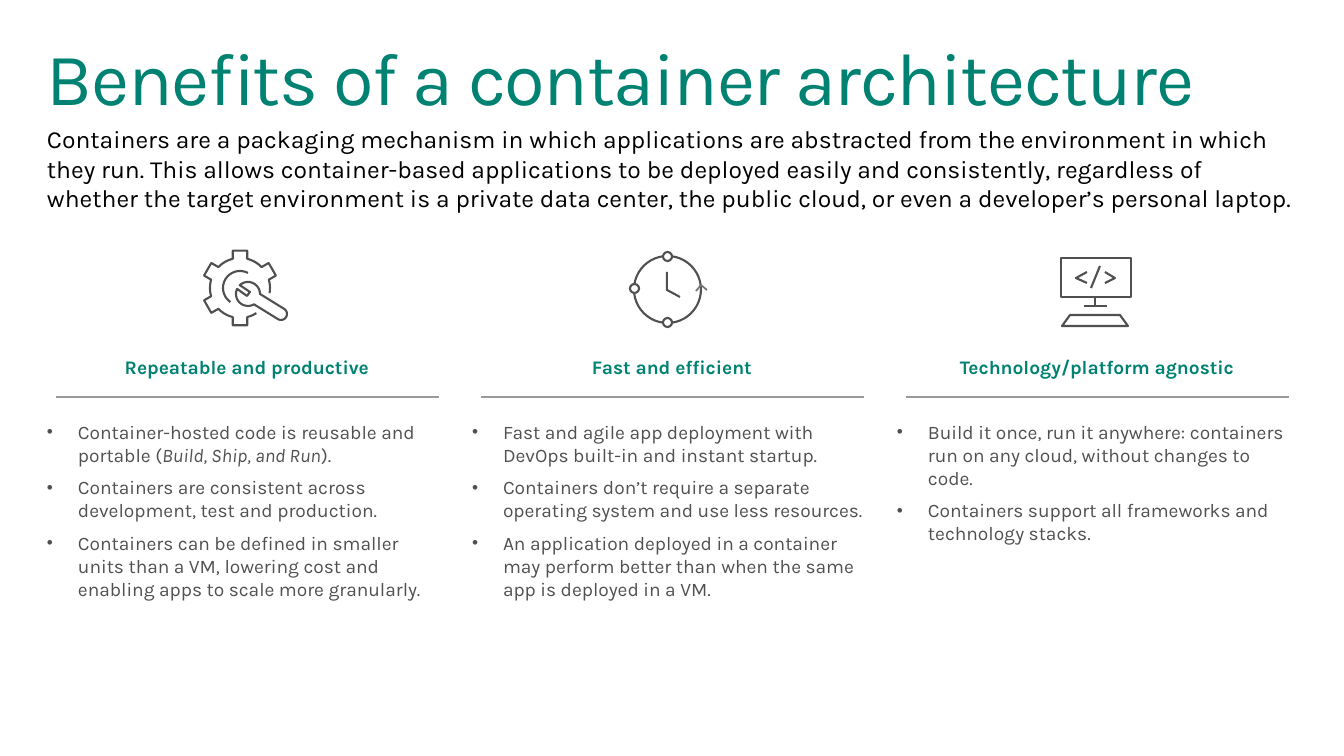
from math import cos, radians, sin

from lxml.etree import SubElement
from pptx import Presentation
from pptx.dml.color import RGBColor
from pptx.enum.shapes import MSO_CONNECTOR, MSO_SHAPE
from pptx.enum.text import MSO_ANCHOR, MSO_AUTO_SIZE, PP_ALIGN
from pptx.oxml.ns import qn
from pptx.util import Pt

SCALE = 12192000 / 1344  # EMU in one px
FONT = "Karla"
COLORS = {"teal": "008272", "black": "000000", "gray": "505050",
          "arrow": "757575", "rule": "999999", "white": "FFFFFF"}

TITLE = "Benefits of a container architecture"
INTRO = ("Containers are a packaging mechanism in which applications are abstracted "
         "from the environment in which they run. This allows container-based "
         "applications to be deployed easily and consistently, regardless of whether "
         "the target environment is a private data center, the public cloud, or even "
         "a developer’s personal laptop.")


def px(length):
    return round(length * SCALE)


def color(name):
    return RGBColor.from_string(COLORS[name])


# Text
def place(holder, left, top, width, height, inset_top=0):
    holder.left, holder.top, holder.width, holder.height = map(
        px, (left, top, width, height))
    frame = holder.text_frame
    frame.word_wrap = True
    frame.auto_size = MSO_AUTO_SIZE.NONE
    frame.vertical_anchor = MSO_ANCHOR.TOP
    frame.margin_left = frame.margin_right = frame.margin_bottom = 0
    frame.margin_top = px(inset_top)
    return frame


def format_paragraph(para, size, ink, after=0, bold=False, align=PP_ALIGN.LEFT,
                     bullet=False):
    properties = para._p.get_or_add_pPr()
    indent = px(31) if bullet else 0
    properties.set("marL", str(indent))
    properties.set("indent", str(-indent))
    if bullet:
        SubElement(properties, qn("a:buSzPct"), val="90000")
        SubElement(properties, qn("a:buFont"), typeface="Arial")
        SubElement(properties, qn("a:buChar"), char="•")
    else:
        SubElement(properties, qn("a:buNone"))
    para.alignment = align
    para.space_before, para.space_after = Pt(0), Pt(after)
    font = para.font
    font.name, font.size, font.bold = FONT, Pt(size), bold
    font.color.rgb = color(ink)


def add_header(title, intro):
    frame = place(title, 47, 24, 1250, 82, inset_top=18)
    para = frame.paragraphs[0]
    span = para.add_run()
    span.text = TITLE
    span._r.get_or_add_rPr().set("spc", "-100")
    format_paragraph(para, 52.9, "teal")
    para.line_spacing = 0.9

    para = place(intro, 47, 124, 1250, 90).paragraphs[0]
    para.text = INTRO
    format_paragraph(para, 17.6, "black", after=8.8)


# Drawing helpers
def style_line(shape, width=1.5, ink="gray"):
    shape.line.color.rgb = color(ink)
    shape.line.width = Pt(width)


def add_line(shapes, start, end, width=1.5, ink="gray"):
    line = shapes.add_connector(MSO_CONNECTOR.STRAIGHT, *map(px, (*start, *end)))
    style_line(line, width, ink)
    SubElement(line._element.spPr, qn("a:effectLst"))


def add_outline(shapes, left, top, *contours, closed=False, width=1.5, ink="gray"):
    builder = None
    for contour in contours:
        points = [(px(left + x), px(top + y)) for x, y in contour]
        if builder is None:
            builder = shapes.build_freeform(*points[0])
        else:
            builder.move_to(*points[0])
        builder.add_line_segments(points[1:], close=closed)
    outline = builder.convert_to_shape()
    outline.shadow.inherit = False
    outline.fill.background()
    style_line(outline, width, ink)


def add_preset(shapes, kind, left, top, width, height, fill=None):
    shape = shapes.add_shape(kind, *map(px, (left, top, width, height)))
    shape.shadow.inherit = False
    if fill:
        shape.fill.solid()
        shape.fill.fore_color.rgb = color(fill)
    else:
        shape.fill.background()
    style_line(shape)


def polar(center, radius, angle):
    return (center[0] + radius * cos(radians(angle)),
            center[1] + radius * sin(radians(angle)))


def arc(center, radius, start, end, steps=16):
    return [polar(center, radius, start + (end - start) * step / steps)
            for step in range(steps + 1)]


# Icons
def draw_gear(shapes, left, top):
    hub = (35, 38)
    rim = arc(hub, 30, 57, 76)
    for tooth in range(90, 331, 60):
        rim += [polar(hub, 38, tooth - 11), polar(hub, 38, tooth + 11)]
        rim += arc(hub, 30, tooth + 14, min(tooth + 46, 370))
    inner = arc(hub, 17, -62, -236)
    head, grip = (43, 44), (76, 64)
    wrench = (arc(head, 12, 205, 60) + arc(grip, 6, 121, -63)
              + arc(head, 12, 0, -133) + [(45, 42), (42, 46)])
    wrench.append(wrench[0])
    add_outline(shapes, left, top, rim, inner, wrench)


def draw_clock(shapes, left, top):
    add_outline(shapes, left, top, [(37, 22), (37, 40), (50, 47)])
    add_preset(shapes, MSO_SHAPE.OVAL, left + 4, top + 6, 67, 67)
    add_outline(shapes, left, top, [(66, 41), (71, 35), (77, 40)],
                width=1.25, ink="arrow")
    for x, y in [(33, 2), (0, 34), (33, 68)]:
        add_preset(shapes, MSO_SHAPE.OVAL, left + x, top + y, 9, 9, "white")


def draw_computer(shapes, left, top):
    add_outline(shapes, left, top, [(27, 22), (16, 28), (27, 33)])
    add_outline(shapes, left, top, [(45, 22), (55, 28), (45, 33)])
    add_preset(shapes, MSO_SHAPE.RECTANGLE, left + 1, top + 8, 70, 39)
    add_outline(shapes, left, top, [(10, 65), (60, 65), (68, 76), (2, 76)], closed=True)
    for x1, y1, x2, y2 in [(40, 16, 31, 38), (35, 47, 35, 56), (24, 56, 47, 56)]:
        add_line(shapes, (left + x1, top + y1), (left + x2, top + y2))


# Each bullet is a list of spans; every second span is italic
COLUMNS = [
    ("Repeatable and productive", draw_gear, 158, [
        ["Container-hosted code is reusable and portable (", "Build, Ship, and Run", ")."],
        ["Containers are consistent across development, test and production."],
        ["Containers can be defined in smaller units than a VM, lowering cost and "
         "enabling apps to scale more granularly."]]),
    ("Fast and efficient", draw_clock, 158, [
        ["Fast and agile app deployment with DevOps built-in and instant startup."],
        ["Containers don’t require a separate operating system and use less resources."],
        ["An application deployed in a container may perform better than when the same "
         "app is deployed in a VM."]]),
    ("Technology/platform agnostic", draw_computer, 163, [
        ["Build it once, run it anywhere: containers run on any cloud, without changes "
         "to code."],
        ["Containers support all frameworks and technology stacks."]]),
]


def add_column(page, holder, left, top, heading, draw_icon, icon_offset, bullets):
    frame = place(holder, left, top + 105, 400, 287)
    para = frame.paragraphs[0]
    para.text = heading
    format_paragraph(para, 13.7, "teal", after=30, bold=True, align=PP_ALIGN.CENTER)
    for bullet in bullets:
        para = frame.add_paragraph()
        for number, text in enumerate(bullet):
            span = para.add_run()
            span.text = text
            if number % 2:
                span.font.italic = True
        format_paragraph(para, 13.7, "gray", after=6.9, bullet=True)
    add_line(page.shapes, (left + 9, top + 147), (left + 392, top + 147), 1, "rule")
    draw_icon(page.shapes.add_group_shape().shapes, left + icon_offset, top)


def main():
    deck = Presentation()
    deck.slide_width, deck.slide_height = px(1344), px(756)
    page = deck.slides.add_slide(deck.slide_layouts.get_by_name("Comparison"))
    title, intro, *bodies = list(page.placeholders)[:5]
    add_header(title, intro)
    for number, (holder, column) in enumerate(zip(bodies, COLUMNS)):
        add_column(page, holder, 47 + 425 * number, 250, *column)
    deck.save("out.pptx")


if __name__ == "__main__":
    main()
